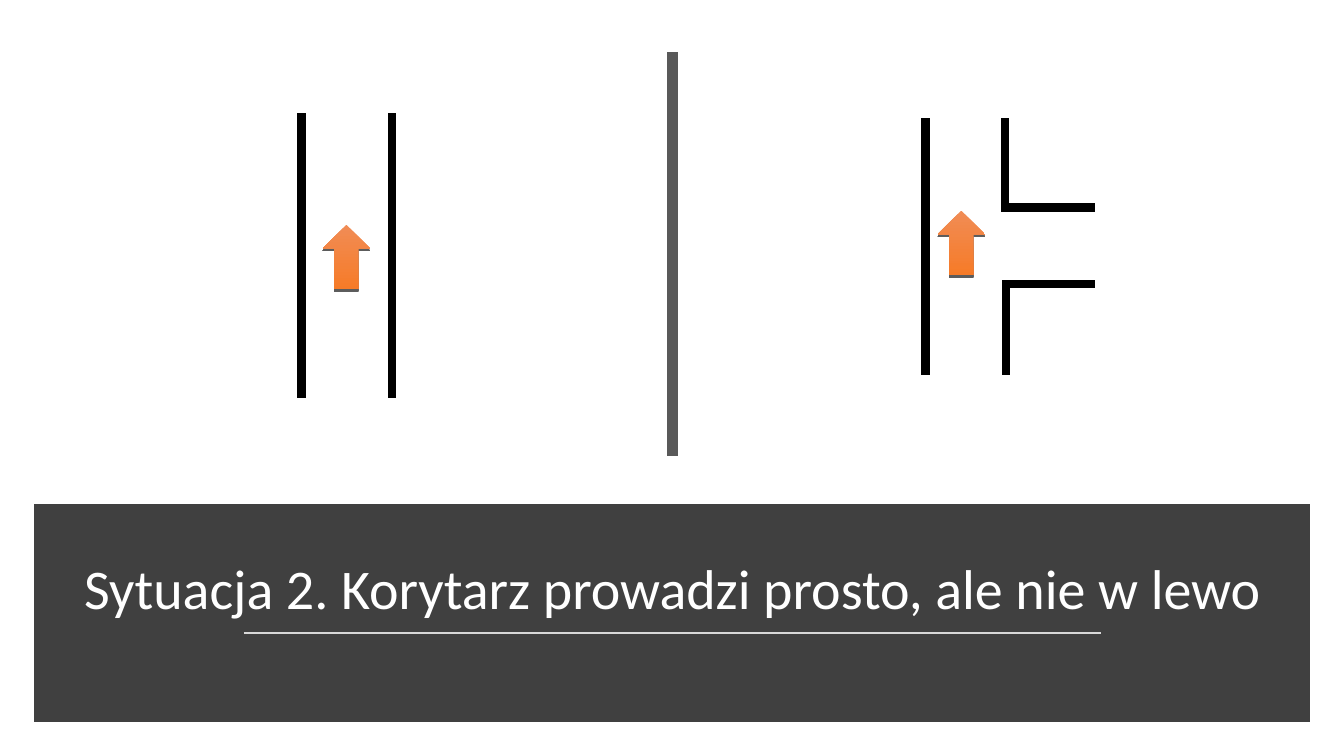
from dataclasses import dataclass

from lxml import etree
from pptx import Presentation
from pptx.dml.color import RGBColor
from pptx.enum.shapes import MSO_CONNECTOR, MSO_SHAPE
from pptx.enum.text import MSO_ANCHOR, PP_ALIGN
from pptx.oxml.ns import qn
from pptx.util import Inches, Pt

STRAIGHT = MSO_CONNECTOR.STRAIGHT
RECTANGLE, UP_ARROW = MSO_SHAPE.RECTANGLE, MSO_SHAPE.UP_ARROW
BOTTOM, CENTER = MSO_ANCHOR.BOTTOM, PP_ALIGN.CENTER


@dataclass(frozen=True)
class Theme:
    """Colours, font and sizes of the slide."""
    band: str = "404040"
    rule: str = "D9D9D9"
    divider: str = "595959"
    wall: str = "000000"
    arrow: tuple = ("F18C55", "F67B28")
    title: str = "FFFFFF"
    font: str = "Calibri"
    title_size: float = 40
    band_line: float = 10
    rule_width: float = 1.75
    divider_width: float = 8
    wall_width: float = 6


THEME = Theme()


def rgb(value):
    """Return a colour from its hex string."""
    return RGBColor.from_string(value)


def add_line(shapes, start, end, color, width, cap="flat"):
    """Draw a straight line without shadow."""
    s = shapes.add_connector(STRAIGHT, *map(Inches, start + end))
    s.line.color.rgb = rgb(color)
    s.line.width = Pt(width)
    sp = s.element.spPr
    sp.find(qn("a:ln")).set("cap", cap)
    etree.SubElement(sp, qn("a:effectLst"))


def add_arrow(shapes, left, top):
    """Draw the orange arrow that shows the walking direction."""
    s = shapes.add_shape(UP_ARROW, *map(Inches, (left, top, 0.47, 0.64)))
    s.line.fill.background()
    s.fill.gradient()
    s.fill.gradient_angle = 270
    for stop, position, color in zip(s.fill.gradient_stops, (0, 1), THEME.arrow):
        stop.position = position
        stop.color.rgb = rgb(color)
    s.shadow.inherit = False
    effects = s.element.spPr.find(qn("a:effectLst"))
    shadow = etree.SubElement(effects, qn("a:outerShdw"), blurRad="0",
                              dist=str(Pt(1.5)), dir="5400000", rotWithShape="0")
    color = etree.SubElement(shadow, qn("a:srgbClr"), val="000000")
    etree.SubElement(color, qn("a:alpha"), val="63000")


def add_corridor(slide, left, top, walls, arrow):
    """Draw a corridor as a group of walls and an arrow, offset from its corner."""
    shapes = slide.shapes.add_group_shape().shapes
    for x1, y1, x2, y2 in walls:
        add_line(shapes, (left + x1, top + y1), (left + x2, top + y2),
                 THEME.wall, THEME.wall_width, "sq")
    add_arrow(shapes, left + arrow[0], top + arrow[1])


def add_title_band(slide, left, top, width, height, text):
    """Draw the dark band with its rule and title."""
    s = slide.shapes.add_shape(RECTANGLE, *map(Inches, (left, top, width, height)))
    s.fill.solid()
    s.fill.fore_color.rgb = s.line.color.rgb = rgb(THEME.band)
    s.line.width = Pt(THEME.band_line)
    etree.SubElement(s.element.spPr.find(qn("a:ln")), qn("a:miter"), lim="800000")
    s.shadow.inherit = False
    y = top + 1.21
    add_line(slide.shapes, (left + 2.01, y), (left + 10.51, y),
             THEME.rule, THEME.rule_width)
    box = (left + 0.17, top + 0.13, width - 0.33, 1.02)
    tf = slide.shapes.add_textbox(*map(Inches, box)).text_frame
    tf.word_wrap = True
    tf.vertical_anchor = BOTTOM
    p = tf.paragraphs[0]
    p.text = text
    p.alignment = CENTER
    p.line_spacing = 0.9
    p.font.name = THEME.font
    p.font.size = Pt(THEME.title_size)
    p.font.color.rgb = rgb(THEME.title)


def main():
    """Build and save the slide."""
    prs = Presentation()
    prs.slide_width, prs.slide_height = Inches(13.33), Inches(7.5)
    slide = prs.slides.add_slide(prs.slide_layouts[6])
    add_title_band(slide, 0.41, 5.07, 12.51, 2.02,
                   "Sytuacja 2. Korytarz prowadzi prosto, ale nie w lewo")
    add_line(slide.shapes, (6.67, 0.52), (6.67, 4.52),
             THEME.divider, THEME.divider_width)
    straight = [(x, 0, x, 2.75) for x in (0, 0.9)]
    junction = [(0, 0, 0, 2.47),
                (0.79, 0, 0.79, 0.85), (0.8, 0.85, 1.64, 0.85),
                (0.8, 1.61, 1.64, 1.61), (0.8, 1.62, 0.8, 2.47)]
    add_corridor(slide, 2.99, 1.16, straight, (0.21, 1.07))
    add_corridor(slide, 9.18, 1.21, junction, (0.12, 0.88))
    prs.save("out.pptx")


if __name__ == "__main__":
    main()
